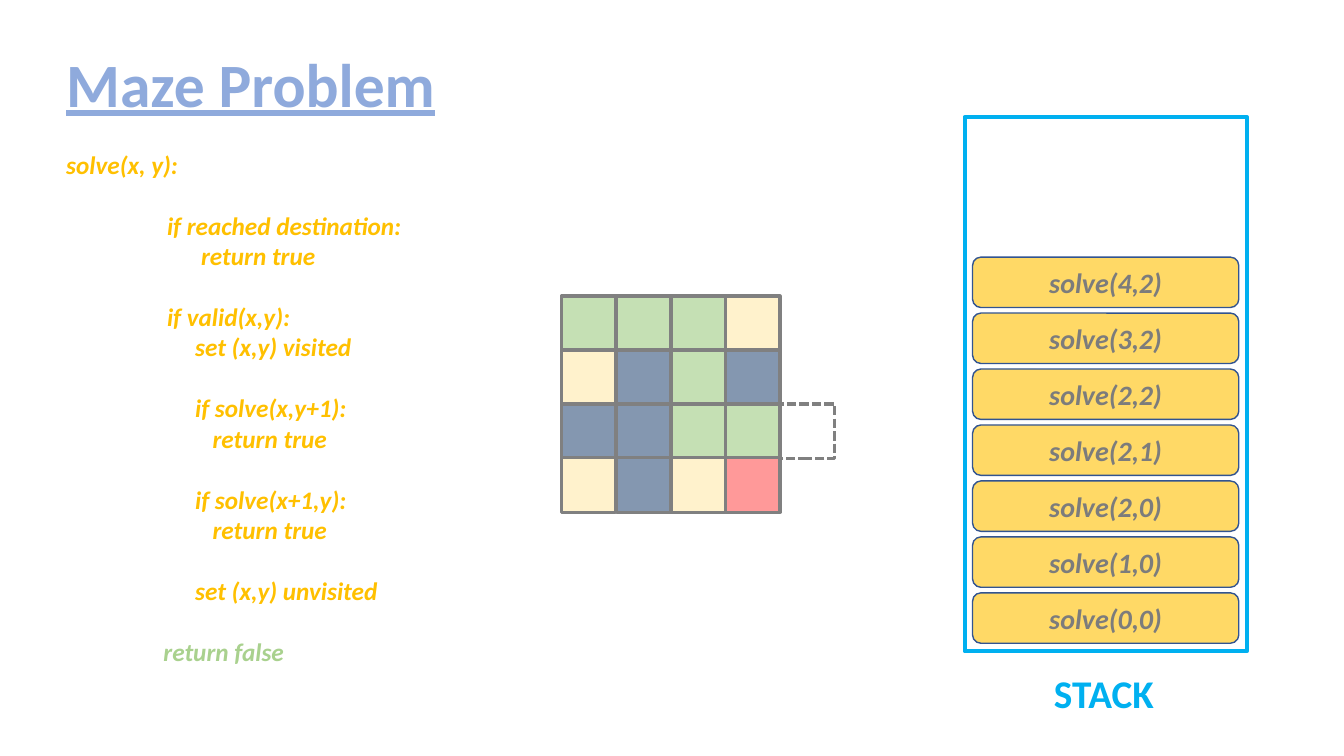
import dataclasses
import typing

import pptx
import pptx.dml.color
import pptx.enum.dml
import pptx.enum.shapes
import pptx.enum.text
import pptx.util

Cm = pptx.util.Cm
Pt = pptx.util.Pt
RGBColor = pptx.dml.color.RGBColor
Kind = pptx.enum.shapes.MSO_SHAPE
Align = pptx.enum.text.PP_ALIGN
Anchor = pptx.enum.text.MSO_ANCHOR

TITLE = RGBColor(0x8F, 0xAA, 0xDC)
CYAN = RGBColor(0x00, 0xB0, 0xF0)
AMBER = RGBColor(0xFF, 0xC0, 0x00)
LEAF = RGBColor(0xA9, 0xD1, 0x8E)
GREEN = RGBColor(0xC5, 0xE0, 0xB4)
CREAM = RGBColor(0xFF, 0xF2, 0xCC)
SLATE = RGBColor(0x84, 0x97, 0xB0)
RED = RGBColor(0xFF, 0x99, 0x99)
GRAY = RGBColor(0x80, 0x80, 0x80)
GOLD = RGBColor(0xFF, 0xD9, 0x66)
NAVY = RGBColor(0x32, 0x54, 0x91)
ASH = RGBColor(0x7C, 0x7C, 0x7C)

# Visited, open, wall and goal cells
FILLS = {"V": GREEN, "O": CREAM, "W": SLATE, "G": RED}
MAZE = ["VVVO", "OWVW", "WWVV", "OWOG"]
MAZE_LEFT, MAZE_TOP = 14.15, 7.46
CELL, STEP_X, STEP_Y = 1.37, 1.38, 1.36

CALLS = [(0, 0), (1, 0), (2, 0), (2, 1), (2, 2), (3, 2), (4, 2)]
CALL_TOP, CALL_STEP = 14.94, 1.41


@dataclasses.dataclass
class Box:
    left: float
    top: float
    width: float
    height: float
    line: RGBColor
    weight: float
    fill: typing.Optional[RGBColor] = None
    kind: Kind = Kind.RECTANGLE
    dashed: bool = False


@dataclasses.dataclass
class Code:
    text: str
    indent: float = 0
    gap: bool = False
    color: RGBColor = AMBER


CODE = [
    Code("solve(x, y):"),
    Code("if reached destination:", 2.54, gap=True),
    Code("return true", 3.4),
    Code("if valid(x,y):", 2.54, gap=True),
    Code("set (x,y) visited", 3.25),
    Code("if solve(x,y+1):", 3.25, gap=True),
    Code("return true", 3.69),
    Code("if solve(x+1,y):", 3.25, gap=True),
    Code("return true", 3.69),
    Code("set (x,y) unvisited", 3.25, gap=True),
    Code("return false", 2.45, gap=True, color=LEAF),
]


def draw_box(slide, box: Box):
    shape = slide.shapes.add_shape(
        box.kind, Cm(box.left), Cm(box.top), Cm(box.width), Cm(box.height))
    shape.shadow.inherit = False
    if box.fill is None:
        shape.fill.background()
    else:
        shape.fill.solid()
        shape.fill.fore_color.rgb = box.fill
    shape.line.color.rgb = box.line
    shape.line.width = Pt(box.weight)
    if box.dashed:
        shape.line.dash_style = pptx.enum.dml.MSO_LINE.SQUARE_DOT
    return shape


def add_frame(slide, left: float, top: float, width: float, height: float,
              anchor: Anchor = Anchor.TOP):
    """Add a wrapping text box and return its text frame."""
    frame = slide.shapes.add_textbox(
        Cm(left), Cm(top), Cm(width), Cm(height)).text_frame
    frame.word_wrap = True
    frame.vertical_anchor = anchor
    return frame


def write(para, text: str, *, size: float, color: RGBColor,
          italic: bool = False, under: bool = False,
          align: Align = Align.LEFT) -> None:
    para.alignment = align
    run = para.add_run()
    run.text = text
    font = run.font
    font.name = "Calibri"
    font.size = Pt(size)
    font.bold = True
    font.italic = italic
    font.underline = under
    font.color.rgb = color


def draw_code(slide) -> None:
    frame = add_frame(slide, 1.42, 3.63, 9.07, 14.1)
    for num, code in enumerate(CODE):
        para = frame.add_paragraph() if num else frame.paragraphs[0]
        para.space_before = Pt(22 if code.gap else 0)
        props = para._p.get_or_add_pPr()
        props.set("marL", str(Cm(code.indent)))
        props.set("indent", "0")
        write(para, code.text, size=18, color=code.color, italic=True)


def draw_maze(slide) -> None:
    for row, line in enumerate(MAZE):
        for col, mark in enumerate(line):
            draw_box(slide, Box(MAZE_LEFT + col * STEP_X,
                                MAZE_TOP + row * STEP_Y,
                                CELL, CELL, GRAY, 2.25, FILLS[mark]))


def draw_calls(slide) -> None:
    for num, (x, y) in enumerate(CALLS):
        shape = draw_box(slide, Box(24.51, CALL_TOP - num * CALL_STEP,
                                    6.71, 1.27, NAVY, 1, GOLD,
                                    Kind.ROUNDED_RECTANGLE))
        shape.text_frame.vertical_anchor = Anchor.MIDDLE
        write(shape.text_frame.paragraphs[0], f"solve({x},{y})", size=20,
              color=ASH, italic=True, align=Align.CENTER)


def main() -> None:
    deck = pptx.Presentation()
    deck.slide_width, deck.slide_height = Cm(33.87), Cm(19.05)
    slide = deck.slides.add_slide(deck.slide_layouts[6])

    title = add_frame(slide, 1.42, 0.36, 29.21, 3.68, Anchor.MIDDLE)
    title.paragraphs[0].line_spacing = 0.9
    write(title.paragraphs[0], "Maze Problem", size=44, color=TITLE,
          under=True)

    draw_box(slide, Box(24.31, 2.95, 7.11, 13.46, CYAN, 3))
    label = add_frame(slide, 26.31, 16.74, 3.1, 1.45)
    write(label.paragraphs[0], "STACK", size=28, color=CYAN)

    draw_code(slide)
    draw_maze(slide)
    draw_calls(slide)
    draw_box(slide, Box(MAZE_LEFT + 4 * STEP_X, MAZE_TOP + 2 * STEP_Y,
                        CELL, CELL, GRAY, 2.25, dashed=True))
    deck.save("out.pptx")


if __name__ == "__main__":
    main()
